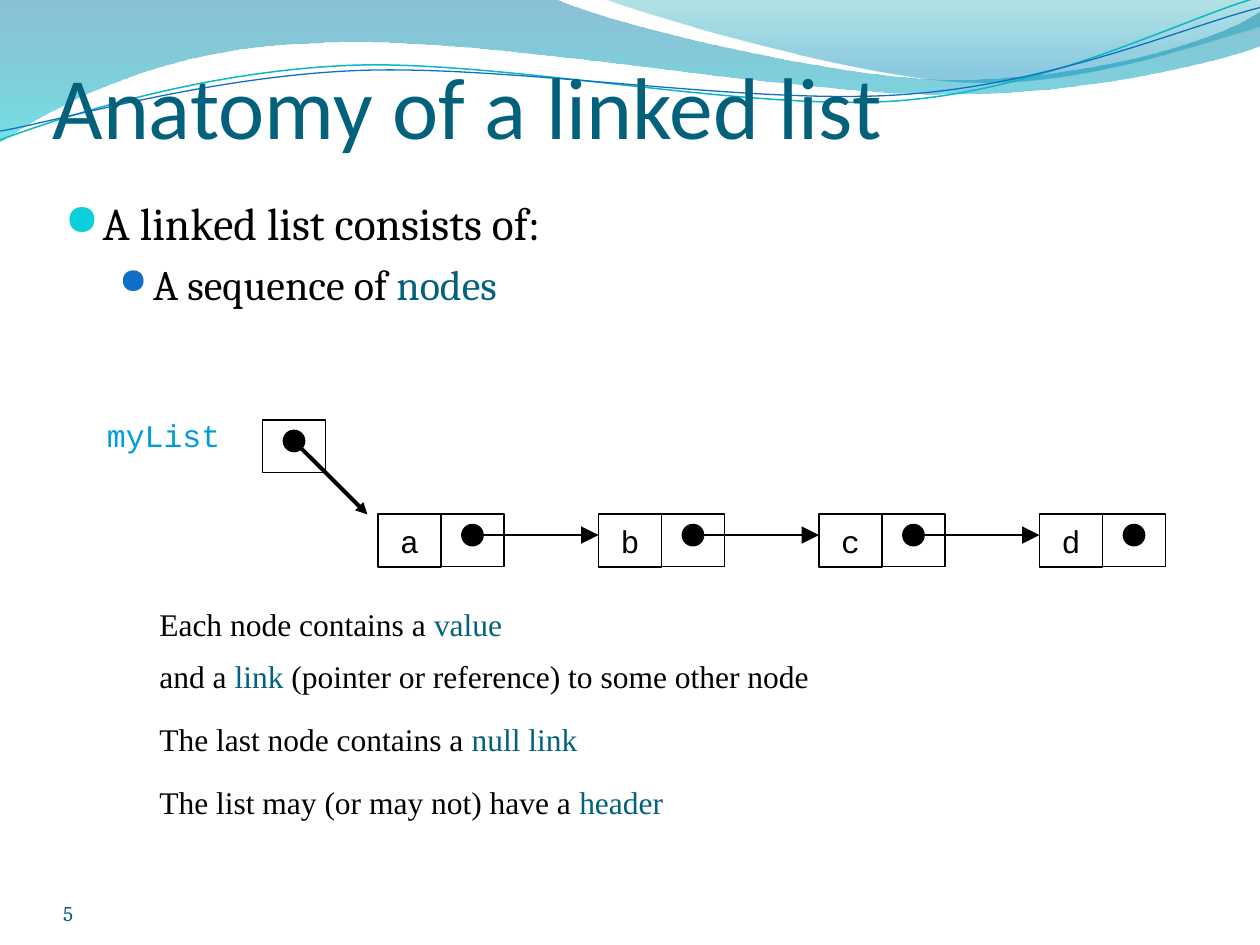
import pptx
import pptx.dml.color
import pptx.enum.shapes
import pptx.enum.text
import pptx.oxml.ns
import pptx.util
from lxml import etree

Pt = pptx.util.Pt
qn = pptx.oxml.ns.qn
SHAPES = pptx.enum.shapes.MSO_SHAPE
ANCHOR = pptx.enum.text.MSO_ANCHOR

BLACK, TEAL = "000000", "04617B"
NODE_LEFT, NODE_TOP, NODE_STEP = 216, 293.75, 126
CELL_WIDTH, CELL_HEIGHT = 36, 30
DOT_SIZE, LINK_Y = 12, 305.8

# A pair is a straight step; six numbers are a Bezier step.
BROAD_WAVE = [(0, 0), (317, -0.7), (343, 12.2, 478, 45.4, 546, 45.4),
              (614, 45.4, 690, 26.6, 720, 6.5), (720.7, 26),
              (708, 31.7, 626, 54.7, 537, 54), (448, 54, 275, 20.2, 185, 24.5),
              (93, 26, 33, 59.8, -0.7, 81.4)]
CORNER_WAVE = [(345, -0.7), (366.5, 8, 491, 44.6, 553.7, 46.8),
               (616.3, 49.7, 692, 23, 720, 15.1), (720, 0)]
UPPER_STRAND = [(0, 80), (34.6, 67, 113.8, 41, 199.4, 37.4),
                (284.4, 33.8, 427, 64, 513.4, 57.6),
                (599.8, 51.1, 675.4, 10.8, 718.6, -1.4)]
LOWER_STRAND = [(0, 74.9), (33.8, 69.1, 118, 43.9, 203.8, 40.3),
                (290.2, 36.7, 429.8, 60.5, 516.2, 54),
                (602, 48.2, 677.5, 15.1, 720, 4.3)]


def color(value):
    """Turn a hex string into a colour."""
    return pptx.dml.color.RGBColor.from_string(value)


def set_line(line, value, width):
    """Give an outline or a connector its colour and width."""
    line.color.rgb = color(value)
    line.width = Pt(width)


def add_curve(slide, steps, close):
    """Draw a path of straight and Bezier steps as an unfilled freeform."""
    points = [(Pt(x), Pt(y)) for step in steps
              for x, y in zip(step[::2], step[1::2])]
    builder = slide.shapes.build_freeform(*points[0], scale=1.0)
    builder.add_line_segments(points[1:], close=close)
    shape = builder.convert_to_shape()
    shape.shadow.inherit = False
    shape.fill.background()
    segments = iter(list(shape.element.iter(qn("a:lnTo"))))
    for step in steps[1:]:
        segment = next(segments)
        if len(step) == 6:
            segment.tag = qn("a:cubicBezTo")
            for _ in range(2):
                extra = next(segments)
                segment.append(extra[0])
                extra.getparent().remove(extra)
    return shape


def add_wave(slide, steps, stops):
    """Draw a wave with a see-through gradient of (position, colour, alpha)."""
    shape = add_curve(slide, steps, close=True)
    shape.line.fill.background()
    shape.fill.gradient()
    shape.fill.gradient_angle = 270
    for stop, (position, value, _) in zip(shape.fill.gradient_stops, stops):
        stop.position = position
        stop.color.rgb = color(value)
    values = shape.element.iter(qn("a:srgbClr"))
    for element, (_, _, alpha) in zip(values, stops):
        etree.SubElement(element, qn("a:alpha"), val=str(alpha * 1000))


def set_bullet(paragraph, left, hanging, value, percent):
    """Indent a paragraph and put a round bullet before it."""
    properties = paragraph._p.get_or_add_pPr()
    properties.set("marL", str(Pt(left)))
    properties.set("indent", str(Pt(-hanging)))
    bullet_color = etree.SubElement(properties, qn("a:buClr"))
    etree.SubElement(bullet_color, qn("a:srgbClr"), val=value)
    etree.SubElement(properties, qn("a:buSzPct"), val=str(percent * 1000))
    etree.SubElement(properties, qn("a:buFont"), typeface="OpenSymbol")
    etree.SubElement(properties, qn("a:buChar"), char="●")


def fill_paragraph(paragraph, runs, font, size, value=BLACK):
    """Write runs; each is a text or a (text, colour) pair."""
    paragraph.font.name = font
    paragraph.font.size = Pt(size)
    paragraph.font.color.rgb = color(value)
    for item in runs:
        text, run_color = (item, None) if isinstance(item, str) else item
        run = paragraph.add_run()
        run.text = text
        if run_color:
            run.font.color.rgb = color(run_color)


def add_text_frame(slide, left, top, width, height, anchor=ANCHOR.TOP):
    """Add a wrapping text box; one anchored at the bottom has no margins."""
    box = slide.shapes.add_textbox(Pt(left), Pt(top), Pt(width), Pt(height))
    frame = box.text_frame
    frame.word_wrap = True
    frame.vertical_anchor = anchor
    if anchor == ANCHOR.BOTTOM:
        frame.margin_left = frame.margin_right = frame.margin_bottom = 0
    return frame


def add_shape(slide, kind, left, top, width, height):
    """Add an unfilled, black-outlined preset shape."""
    shape = slide.shapes.add_shape(kind, Pt(left), Pt(top), Pt(width), Pt(height))
    shape.shadow.inherit = False
    shape.fill.background()
    set_line(shape.line, BLACK, 1)
    return shape


def add_cell(slide, left, top):
    """Add one cell of a node."""
    return add_shape(slide, SHAPES.RECTANGLE, left, top, CELL_WIDTH, CELL_HEIGHT)


def add_value(slide, left, label):
    """Add the framed value of a node."""
    frame = add_cell(slide, left, 294).text_frame
    frame.word_wrap = False
    frame.vertical_anchor = ANCHOR.MIDDLE
    frame.paragraphs[0].alignment = pptx.enum.text.PP_ALIGN.CENTER
    fill_paragraph(frame.paragraphs[0], [label], "Courier New", 18)


def add_dot(slide, x, y):
    """Add a pointer dot centred on a point."""
    dot = add_shape(slide, SHAPES.OVAL, x - DOT_SIZE / 2, y - DOT_SIZE / 2,
                    DOT_SIZE, DOT_SIZE)
    dot.fill.solid()
    dot.fill.fore_color.rgb = color(BLACK)


def add_arrow(slide, start, end, width, head):
    """Add a straight arrow between two points."""
    arrow = slide.shapes.add_connector(
        pptx.enum.shapes.MSO_CONNECTOR.STRAIGHT,
        *[Pt(length) for length in (*start, *end)])
    set_line(arrow.line, BLACK, width)
    etree.SubElement(arrow.line._get_or_add_ln(), qn("a:tailEnd"),
                     type="triangle", w=head, len=head)
    etree.SubElement(arrow.element.spPr, qn("a:effectLst"))


def add_headings(slide):
    """Add the slide number, the title and the bullets."""
    number = add_text_frame(slide, 36, 500.5, 168, 28.5, ANCHOR.BOTTOM)
    fill_paragraph(number.paragraphs[0], ["5"], "Cambria", 12, "045D75")
    title = add_text_frame(slide, 30, 0, 648, 90, ANCHOR.BOTTOM)
    fill_paragraph(title.paragraphs[0], ["Anatomy of a linked list"],
                   "Calibri", 50, TEAL)
    body = add_text_frame(slide, 30, 108, 675, 117)
    first, second = body.paragraphs[0], body.add_paragraph()
    set_bullet(first, 21.6, 21.6, "0BD0D9", 95)
    fill_paragraph(first, ["A linked list consists of:"], "Cambria", 26)
    second.level = 1
    second.space_before = Pt(4.8)
    set_bullet(second, 50.4, 19.4, "0F6FC6", 85)
    fill_paragraph(second, ["A sequence of ", ("nodes", TEAL)], "Cambria", 24)


def add_list_diagram(slide):
    """Draw the chained nodes and the header that points to them."""
    for index, label in enumerate("abcd"):
        left = NODE_LEFT + index * NODE_STEP
        link_x = left + 1.5 * CELL_WIDTH
        add_cell(slide, left, NODE_TOP)
        add_cell(slide, left + CELL_WIDTH, NODE_TOP)
        add_value(slide, left, label)
        add_dot(slide, link_x, LINK_Y)
        if label != "d":
            add_arrow(slide, (link_x, LINK_Y), (left + NODE_STEP, LINK_Y), 1, "lg")
    add_dot(slide, 168, 252)
    add_cell(slide, 150, 240)
    add_arrow(slide, (168, 252), (210, 294), 2.25, "med")
    name = add_text_frame(slide, 54, 234, 102, 36.5)
    fill_paragraph(name.paragraphs[0], ["myList"], "Courier New", 18, "009DD9")


def add_statements(slide):
    """Write the statements below the diagram."""
    for top, *runs in [
            (342, "Each node contains a ", ("value", TEAL)),
            (372, "and a ", ("link", TEAL),
             " (pointer or reference) to some other node"),
            (408, "The last node contains a ", ("null link", TEAL)),
            (444, "The list may (or may not) have a ", ("header", TEAL))]:
        frame = add_text_frame(slide, 84, top, 552, 36)
        fill_paragraph(frame.paragraphs[0], runs, "Times New Roman", 18)


def main():
    """Build and save the slide."""
    presentation = pptx.Presentation()
    presentation.slide_width, presentation.slide_height = Pt(720), Pt(540)
    slide = presentation.slides.add_slide(presentation.slide_layouts[6])
    add_wave(slide, BROAD_WAVE, [(0, "0074A1", 45), (1, "00C6CF", 55)])
    add_wave(slide, CORNER_WAVE, [(0, "00A1A9", 30), (0.8, "008BBF", 45)])
    for steps, value, width in [(UPPER_STRAND, "0AB8BF", 0.85),
                                (LOWER_STRAND, "0F6FC6", 0.75)]:
        set_line(add_curve(slide, steps, close=False).line, value, width)
    add_headings(slide)
    add_list_diagram(slide)
    add_statements(slide)
    presentation.save("out.pptx")


main()
